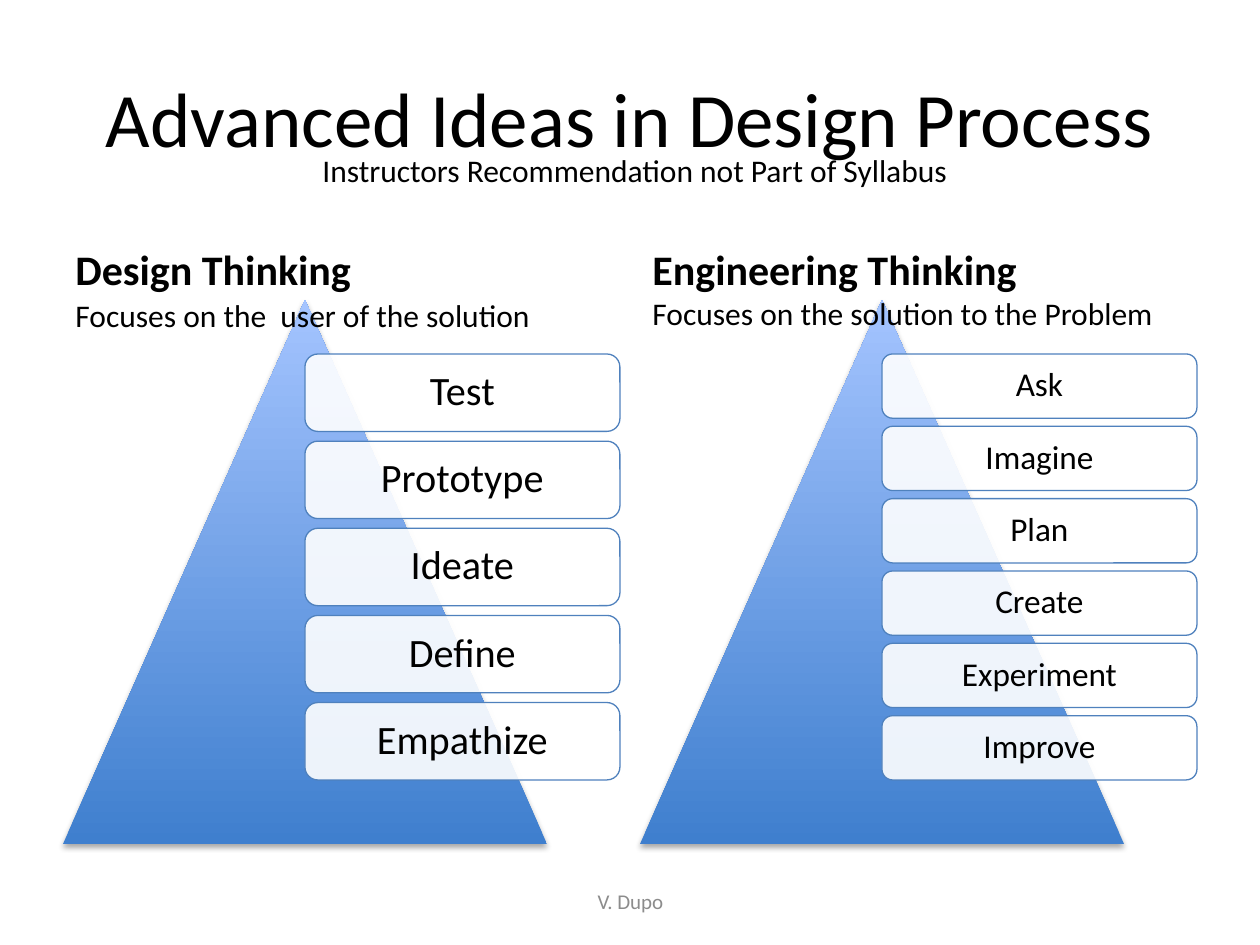
from lxml import etree
from pptx import Presentation
from pptx.dml.color import RGBColor
from pptx.enum.shapes import MSO_SHAPE
from pptx.enum.text import MSO_ANCHOR, PP_ALIGN
from pptx.oxml.ns import qn
from pptx.util import Emu, Inches, Pt

TRIANGLE = MSO_SHAPE.ISOSCELES_TRIANGLE
ROUNDED = MSO_SHAPE.ROUNDED_RECTANGLE
TOP, MIDDLE, BOTTOM = MSO_ANCHOR.TOP, MSO_ANCHOR.MIDDLE, MSO_ANCHOR.BOTTOM
LEFT, CENTER = PP_ALIGN.LEFT, PP_ALIGN.CENTER

EMU_PER_PX = 914400 / 126
FONT = "Calibri"
BLACK, WHITE, GREY = "000000", "FFFFFF", "8C8C8C"
PYRAMID_BASE, PYRAMID_TIP, CARD_LINE = "3F7FCE", "A4C4FF", "4F81BD"

PYRAMID_TOP, PYRAMID_WIDTH, PYRAMID_HEIGHT = 300, 484, 544
CARDS_TOP, CARDS_WIDTH, CARDS_HEIGHT = 354, 315, 426
GAP_RATIO = 1 / 8  # gap between cards, as a share of card height

# left, heading, focus line, top of focus line, card text size, card inset, steps
COLUMNS = [
    (63, "Design Thinking", "Focuses on the  user of the solution", 290, 23, 13,
     ["Test", "Prototype", "Ideate", "Define", "Empathize"]),
    (640, "Engineering Thinking", "Focuses on the solution to the Problem", 288, 19, 10,
     ["Ask", "Imagine", "Plan", "Create", "Experiment", "Improve"]),
]


def px(length):
    return Emu(round(length * EMU_PER_PX))


def rgb(color):
    return RGBColor.from_string(color)


def write(shape, text, size, color=BLACK, bold=False, align=LEFT, anchor=TOP, wrap=True):
    frame = shape.text_frame
    frame.word_wrap = wrap
    frame.vertical_anchor = anchor
    paragraph = frame.paragraphs[0]
    paragraph.text = text
    paragraph.alignment = align
    font_format = {"name": FONT, "size": Pt(size), "bold": bold}
    for attribute, value in font_format.items():
        setattr(paragraph.font, attribute, value)
    paragraph.font.color.rgb = rgb(color)
    return frame


def add_label(slide, box, text, size, **text_format):
    label = slide.shapes.add_textbox(*map(px, box))
    write(label, text, size, **text_format)


def add_title(slide, text):
    title = slide.shapes.title
    place = {"left": 63, "top": 38, "width": 1134, "height": 157}
    for attribute, length in place.items():
        setattr(title, attribute, px(length))
    write(title, text, 44, align=CENTER, anchor=MIDDLE)


def add_soft_shadow(shape):
    effects = shape._element.spPr.find(qn("a:effectLst"))
    shadow = etree.SubElement(effects, qn("a:outerShdw"), blurRad=str(Pt(3.1)),
                              dist=str(Pt(1.8)), dir="5400000", rotWithShape="0")
    color = etree.SubElement(shadow, qn("a:srgbClr"), val=BLACK)
    etree.SubElement(color, qn("a:alpha"), val="35000")


def add_pyramid(slide, left):
    box = (left, PYRAMID_TOP, PYRAMID_WIDTH, PYRAMID_HEIGHT)
    pyramid = slide.shapes.add_shape(TRIANGLE, *map(px, box))
    pyramid.line.fill.background()
    pyramid.fill.gradient()
    pyramid.fill.gradient_angle = 90
    stops = zip(pyramid.fill.gradient_stops, (0, 1), (PYRAMID_BASE, PYRAMID_TIP))
    for stop, position, color in stops:
        stop.position = position
        stop.color.rgb = rgb(color)
    pyramid.shadow.inherit = False
    add_soft_shadow(pyramid)


def add_card(slide, box, text, size, inset):
    card = slide.shapes.add_shape(ROUNDED, *map(px, box))
    card.shadow.inherit = False
    card.fill.solid()
    card.fill.fore_color.rgb = rgb(WHITE)
    fill_color = card._element.spPr.find(qn("a:solidFill"))[0]
    etree.SubElement(fill_color, qn("a:alpha"), val="90000")
    card.line.color.rgb = rgb(CARD_LINE)
    card.line.width = Pt(0.75)
    frame = write(card, text, size, align=CENTER, anchor=MIDDLE)
    frame.paragraphs[0].line_spacing = 0.9
    for side in ("left", "top", "right", "bottom"):
        setattr(frame, f"margin_{side}", px(inset))


def add_steps(slide, left, steps, size, inset):
    height = CARDS_HEIGHT / (len(steps) + (len(steps) - 1) * GAP_RATIO)
    pitch = height * (1 + GAP_RATIO)
    for row, step in enumerate(steps):
        box = (left, CARDS_TOP + row * pitch, CARDS_WIDTH, height)
        add_card(slide, box, step, size, inset)


def main():
    presentation = Presentation()
    presentation.slide_width, presentation.slide_height = Inches(10), Inches(7.5)
    slide = presentation.slides.add_slide(presentation.slide_layouts[5])

    # Title and subtitle
    add_title(slide, "Advanced Ideas in Design Process")
    add_label(slide, (310, 145, 660, 50),
              "Instructors Recommendation not Part of Syllabus", 18, wrap=False)

    # One pyramid of steps for each way of thinking
    for left, heading, focus, focus_top, size, inset, steps in COLUMNS:
        add_label(slide, (left, 212, 557, 88), heading, 24, bold=True, anchor=BOTTOM)
        add_pyramid(slide, left)
        add_steps(slide, left + PYRAMID_WIDTH // 2, steps, size, inset)
        add_label(slide, (left, focus_top, 549, 50), focus, 18, wrap=False)

    # Footer
    add_label(slide, (431, 876, 399, 50), "V. Dupo", 12,
              color=GREY, align=CENTER, anchor=MIDDLE)

    presentation.save("out.pptx")


if __name__ == "__main__":
    main()
